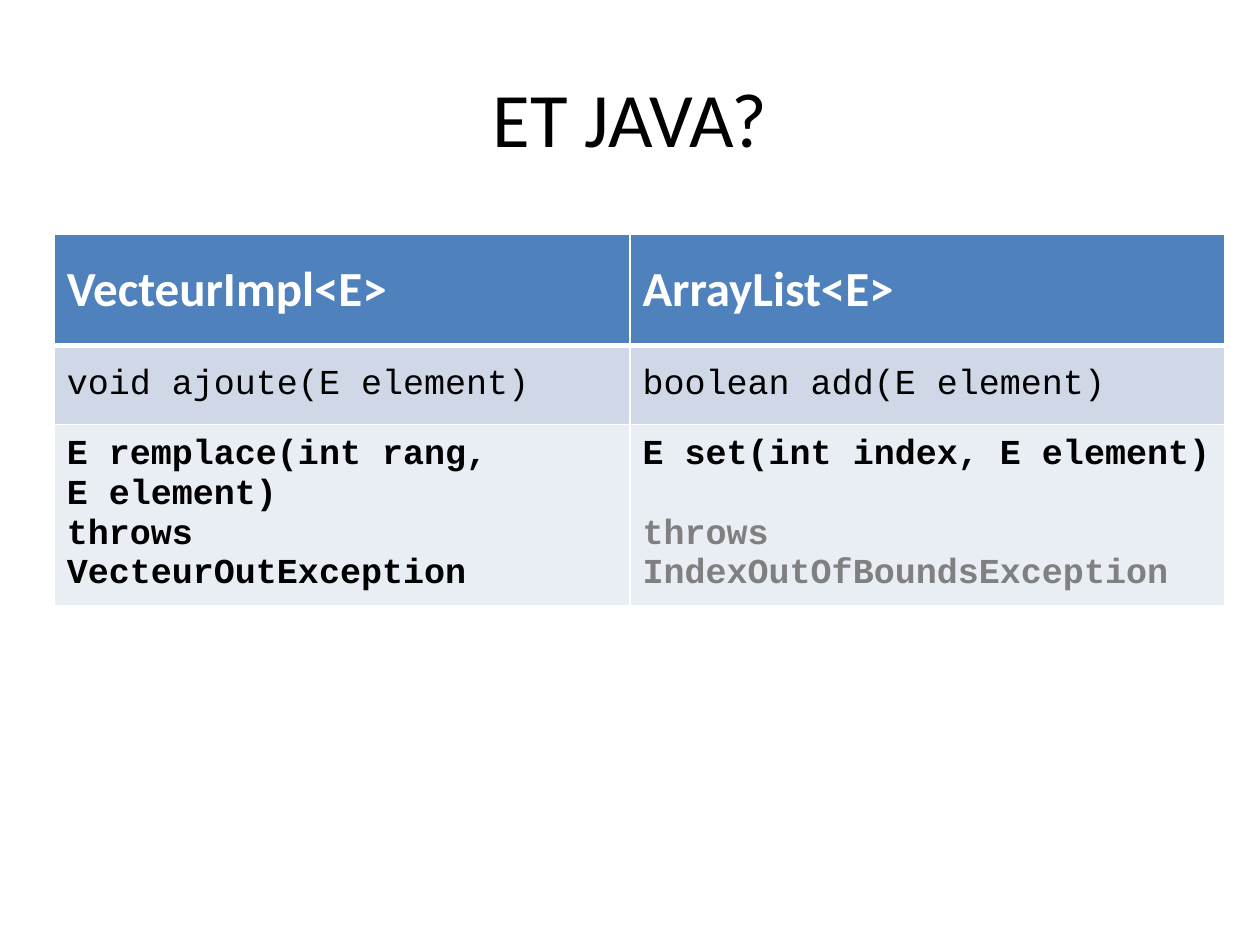
from lxml import etree
from pptx import Presentation
from pptx.dml.color import RGBColor
from pptx.enum.text import MSO_ANCHOR, PP_ALIGN
from pptx.oxml.ns import qn
from pptx.util import Inches, Pt

MIDDLE = MSO_ANCHOR.MIDDLE
CENTER = PP_ALIGN.CENTER

BLACK = RGBColor(0x00, 0x00, 0x00)
WHITE = RGBColor(0xFF, 0xFF, 0xFF)
GREY = RGBColor(0x80, 0x80, 0x80)
BLUE = RGBColor(0x4F, 0x81, 0xBD)
LIGHT_BLUE = RGBColor(0xD0, 0xD8, 0xE8)
PALE_BLUE = RGBColor(0xE9, 0xED, 0xF4)

TITLE = "ET JAVA?"
COL_WIDTHS = [4.57, 4.72]
CODE_LINE = 22.65  # height in points of one line of 20 pt code

# Each cell is a list of paragraphs: (text, colour, space before in points)
ROWS = [
    dict(height=0.88, fill=BLUE, font="Calibri", size=28, bold=True, bottom=3, cells=[
        [("VecteurImpl<E>", WHITE, 0)],
        [("ArrayList<E>", WHITE, 0)],
    ]),
    dict(height=0.63, fill=LIGHT_BLUE, font="Courier New", size=20, bold=False, bottom=1, cells=[
        [("void ajoute(E element)", BLACK, 0)],
        [("boolean add(E element)", BLACK, 0)],
    ]),
    dict(height=1.36, fill=PALE_BLUE, font="Courier New", size=20, bold=True, bottom=1, cells=[
        [("E remplace(int rang,", BLACK, 0), ("E element)", BLACK, 0),
         ("throws", BLACK, 0), ("VecteurOutException", BLACK, 0)],
        [("E set(int index, E element)", BLACK, 0),
         ("throws IndexOutOfBoundsException", GREY, CODE_LINE)],
    ]),
]


def add_run(p, text, font, size, color, bold=False):
    r = p.add_run()
    r.text = text
    r.font.name = font
    r.font.size = Pt(size)
    r.font.bold = bold
    r.font.color.rgb = color


def set_borders(cell, widths):
    """Draw white borders; must run before the cell's fill is set."""
    tc_pr = cell._tc.get_or_add_tcPr()
    for side, width in widths.items():
        line = etree.SubElement(tc_pr, qn(f"a:ln{side}"), w=str(Pt(width)))
        fill = etree.SubElement(line, qn("a:solidFill"))
        etree.SubElement(fill, qn("a:srgbClr"), val=str(WHITE))


def add_title(s):
    tf = s.shapes.add_textbox(Inches(0.5), Inches(0.3), Inches(9), Inches(1.25)).text_frame
    tf.word_wrap = True
    tf.vertical_anchor = MIDDLE
    p = tf.paragraphs[0]
    p.alignment = CENTER
    add_run(p, TITLE, "Calibri", 44, BLACK)


def fill_cell(cell, paragraphs, row, top):
    set_borders(cell, {"L": 1, "R": 1, "T": top, "B": row["bottom"]})
    cell.fill.solid()
    cell.fill.fore_color.rgb = row["fill"]
    cell.vertical_anchor = MIDDLE
    tf = cell.text_frame
    for i, (text, color, before) in enumerate(paragraphs):
        p = tf.add_paragraph() if i else tf.paragraphs[0]
        p.space_before = Pt(before)
        add_run(p, text, row["font"], row["size"], color, row["bold"])


def add_method_table(s):
    height = sum(row["height"] for row in ROWS)
    table = s.shapes.add_table(len(ROWS), len(COL_WIDTHS), Inches(0.43), Inches(1.86),
                               Inches(sum(COL_WIDTHS)), Inches(height)).table
    for column, width in zip(table.columns, COL_WIDTHS):
        column.width = Inches(width)
    top = 1
    for r, row in enumerate(ROWS):
        table.rows[r].height = Inches(row["height"])
        for c, paragraphs in enumerate(row["cells"]):
            fill_cell(table.cell(r, c), paragraphs, row, top)
        top = row["bottom"]


def main():
    prs = Presentation()
    prs.slide_width, prs.slide_height = Inches(10), Inches(7.5)
    s = prs.slides.add_slide(prs.slide_layouts[6])
    add_title(s)
    add_method_table(s)
    prs.save("out.pptx")


if __name__ == "__main__":
    main()
